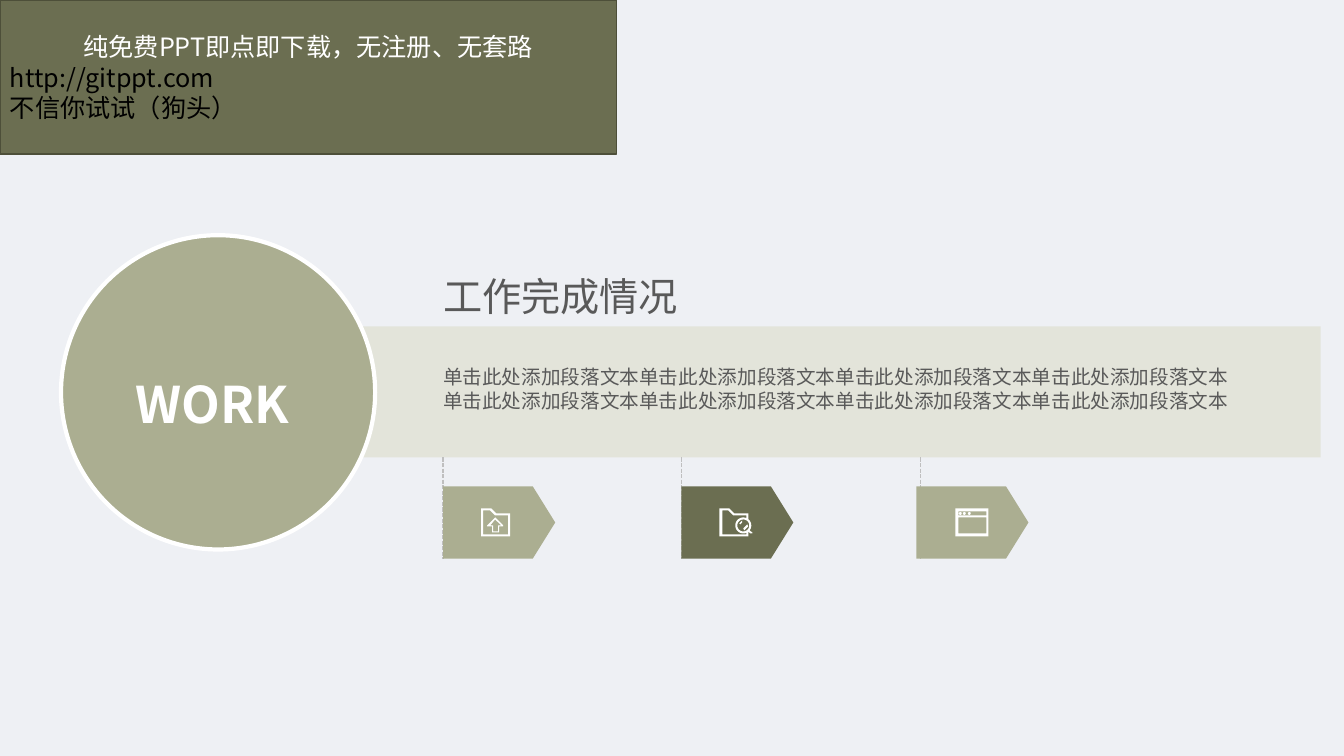
import math
from dataclasses import dataclass

from lxml import etree
from pptx import Presentation
from pptx import util as u
from pptx.dml.color import RGBColor
from pptx.enum import dml, shapes, text
from pptx.oxml.ns import qn

PX = 9080  # EMU per px
FONT = "Noto Sans CJK SC"
PAPER = RGBColor(0xEE, 0xF0, 0xF4)
SAGE = RGBColor(0xAB, 0xAE, 0x91)
OLIVE = RGBColor(0x6B, 0x6E, 0x51)
DARK_OLIVE = RGBColor(0x4D, 0x4F, 0x39)
PALE = RGBColor(0xE3, 0xE4, 0xDA)
WHITE = RGBColor(0xFF, 0xFF, 0xFF)
BLACK = RGBColor(0x00, 0x00, 0x00)
GREY = RGBColor(0x59, 0x59, 0x59)
SILVER = RGBColor(0xBF, 0xBF, 0xBF)

Point = tuple[float, float]
Contour = list[Point]


@dataclass(frozen=True)
class Box:
    left: int
    top: int
    width: int
    height: int

    def emu(self) -> list[int]:
        return [side * PX for side in (self.left, self.top, self.width, self.height)]


@dataclass(frozen=True)
class Step:
    tag_left: int
    guide_x: int
    color: RGBColor
    icon_left: int
    icon: list[Contour]


@dataclass(frozen=True)
class Line:
    wording: str
    size: int
    color: RGBColor
    bold: bool = False
    align: text.PP_ALIGN = text.PP_ALIGN.LEFT


def arc(cx: float, cy: float, radius: float, start: int = 0, end: int = 360) -> Contour:
    """Points along a circle, angles in degrees, clockwise from the right."""
    angles = [math.radians(start + (end - start) * i / 24) for i in range(25)]
    return [(cx + radius * math.cos(a), cy + radius * math.sin(a)) for a in angles]


def rectangle(left: int, top: int, right: int, bottom: int) -> Contour:
    return [(left, top), (right, top), (right, bottom), (left, bottom)]


# Icon outlines, in px from the icon's top left corner
UPLOAD_FOLDER = [
    [(0, 0), (10, 0), (15, 5), (29, 5), (29, 28), (0, 28)],
    [(2, 2), (9, 2), (14, 7), (27, 7), (27, 26), (2, 26)],
    [(6, 17), (14, 9), (22, 17), (22, 18), (18, 18), (18, 24), (11, 24), (11, 18), (6, 18)],
    [(14, 11), (9, 17), (12, 17), (12, 23), (17, 23), (17, 17), (20, 17)],
]
SEARCH_FOLDER = [
    [(0, 0), (10, 0), (15, 5), (29, 5), (29, 10), *arc(24, 17, 8, -50, 38),
     (33, 24), (33, 25), (31, 25), (29, 23), (29, 28), (0, 28)],
    [(3, 2), (9, 2), (14, 7), (27, 7), *arc(24, 17, 8, -68, -292), (27, 26), (3, 26)],
    arc(24, 17, 6),
    [(20, 15), (23, 12), (23, 14), (21, 16)],
    [(24, 20), (28, 16), (29, 18), (25, 22)],
]
WINDOW = [
    rectangle(0, 0, 33, 28),
    rectangle(3, 3, 31, 7),
    rectangle(3, 9, 31, 25),
    *[arc(x, 5, 1.4) for x in (5, 9, 14)],
]

STEPS = [
    Step(443, 443, SAGE, 481, UPLOAD_FOLDER),
    Step(681, 681, OLIVE, 719, SEARCH_FOLDER),
    Step(916, 920, SAGE, 955, WINDOW),
]

PANEL_LINES = [
    Line("纯免费PPT即点即下载，无注册、无套路", 18, WHITE, align=text.PP_ALIGN.CENTER),
    Line("http://gitppt.com", 18, BLACK),
    Line("不信你试试（狗头）", 18, BLACK),
]


def add_block(slide, kind, box: Box, fill: RGBColor, line: RGBColor | None = None,
              line_pt: int = 1):
    block = slide.shapes.add_shape(kind, *box.emu())
    block.shadow.inherit = False
    block.fill.solid()
    block.fill.fore_color.rgb = fill
    if line is None:
        block.line.fill.background()
    else:
        block.line.color.rgb = line
        block.line.width = u.Pt(line_pt)
    return block


def add_guide(slide, x: int, top: int, bottom: int) -> None:
    guide = slide.shapes.add_connector(
        shapes.MSO_CONNECTOR.STRAIGHT, x * PX, top * PX, x * PX, bottom * PX)
    guide.line.color.rgb = SILVER
    guide.line.width = u.Pt(1)
    guide.line.dash_style = dml.MSO_LINE.SQUARE_DOT
    etree.SubElement(guide._element.spPr, qn("a:effectLst"))


def add_icon(slide, left: int, top: int, contours: list[Contour]) -> None:
    outlines = [[((left + x) * PX, (top + y) * PX) for x, y in c] for c in contours]
    builder = slide.shapes.build_freeform(*outlines[0][0])
    builder.add_line_segments(outlines[0][1:])
    for outline in outlines[1:]:
        builder.move_to(*outline[0])
        builder.add_line_segments(outline[1:])
    icon = builder.convert_to_shape()
    icon.shadow.inherit = False
    icon.fill.solid()
    icon.fill.fore_color.rgb = WHITE
    icon.line.fill.background()


def write(shape, lines: list[Line], anchor=text.MSO_ANCHOR.TOP, wrap: bool = True) -> None:
    frame = shape.text_frame
    frame.word_wrap = wrap
    frame.auto_size = text.MSO_AUTO_SIZE.NONE
    frame.vertical_anchor = anchor
    for i, line in enumerate(lines):
        paragraph = frame.add_paragraph() if i else frame.paragraphs[0]
        paragraph.text = line.wording
        paragraph.alignment = line.align
        font = paragraph.font
        font.size, font.bold, font.name = u.Pt(line.size), line.bold, FONT
        font.color.rgb = line.color
        defaults = paragraph._p.pPr.find(qn("a:defRPr"))
        etree.SubElement(defaults, qn("a:ea"), typeface=FONT)


def main() -> None:
    deck = Presentation()
    deck.slide_width, deck.slide_height = u.Inches(13.34), u.Inches(7.5)
    slide = deck.slides.add_slide(deck.slide_layouts[5])
    slide.background.fill.solid()
    slide.background.fill.fore_color.rgb = PAPER

    # Heading
    heading = slide.shapes.title
    heading.left, heading.top, heading.width, heading.height = Box(433, 267, 400, 57).emu()
    write(heading, [Line("工作完成情况", 28, GREY)])

    # Band and circle
    add_block(slide, shapes.MSO_SHAPE.RECTANGLE, Box(342, 326, 978, 131), PALE)
    add_block(slide, shapes.MSO_SHAPE.OVAL, Box(61, 235, 314, 314), SAGE, WHITE, 3)

    # Steps: guide, tag turned to point right, icon
    for step in STEPS:
        add_guide(slide, step.guide_x, 457, 558)
        tag = add_block(slide, shapes.MSO_SHAPE.FLOWCHART_OFFPAGE_CONNECTOR,
                        Box(step.tag_left + 20, 466, 72, 112), step.color)
        tag.rotation = 270
        add_icon(slide, step.icon_left, 508, step.icon)

    # Band and circle wording
    summary = slide.shapes.add_textbox(*Box(433, 360, 824, 57).emu())
    write(summary, [Line("单击此处添加段落文本" * 8, 14, GREY)])
    label = slide.shapes.add_textbox(*Box(103, 387, 219, 46).emu())
    frame = label.text_frame
    frame.margin_left = frame.margin_top = frame.margin_right = frame.margin_bottom = 0
    write(label, [Line("WORK", 36, WHITE, True, text.PP_ALIGN.CENTER)],
          text.MSO_ANCHOR.BOTTOM, False)

    # Corner panel
    panel = add_block(slide, shapes.MSO_SHAPE.RECTANGLE, Box(0, 0, 616, 154), OLIVE, DARK_OLIVE)
    write(panel, PANEL_LINES, text.MSO_ANCHOR.MIDDLE)

    deck.save("out.pptx")


if __name__ == "__main__":
    main()
